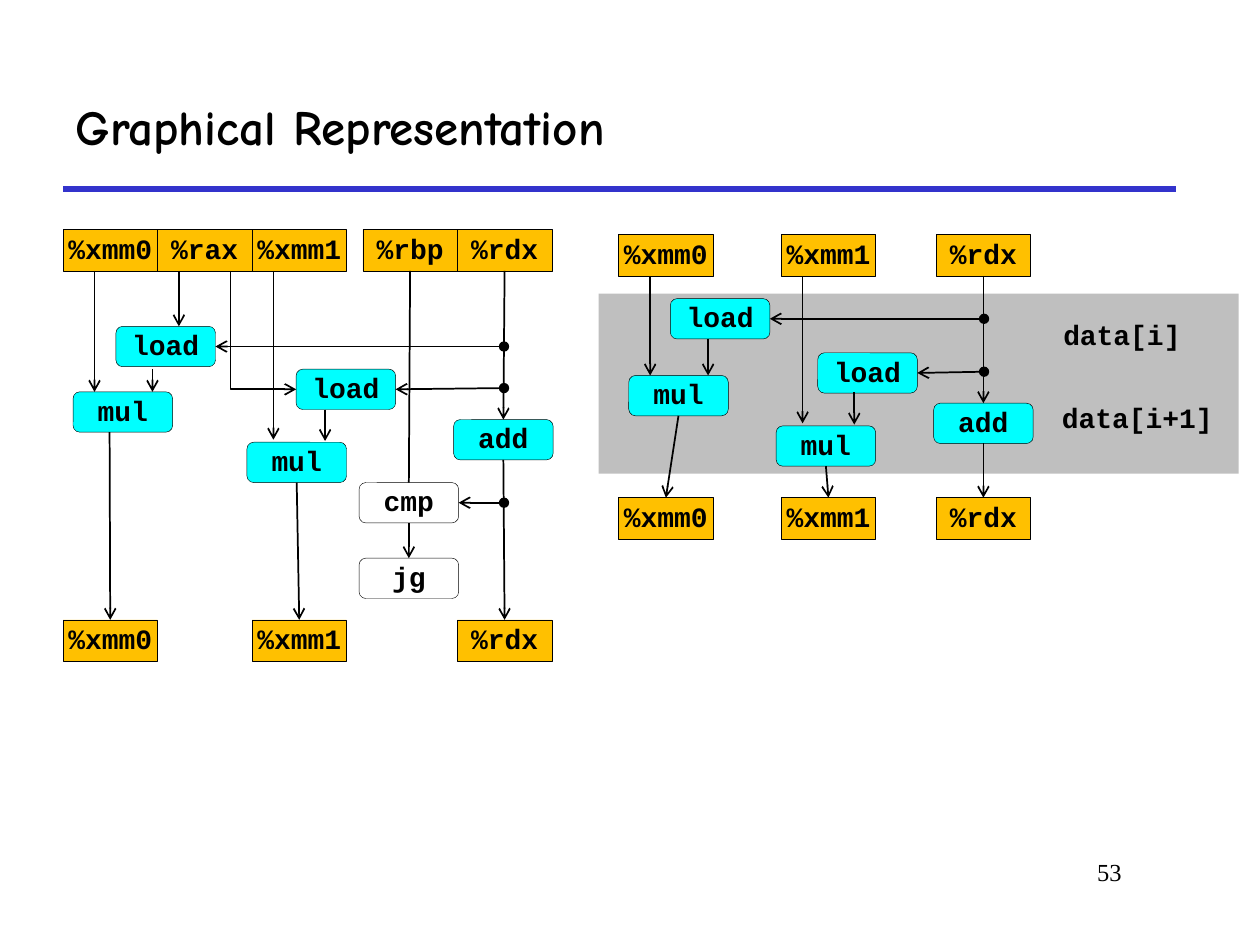
from lxml.etree import SubElement
from pptx import Presentation
from pptx.dml.color import RGBColor
from pptx.enum.shapes import MSO_CONNECTOR, MSO_SHAPE
from pptx.enum.text import MSO_ANCHOR, PP_ALIGN
from pptx.oxml.ns import qn
from pptx.util import Inches, Pt

BLACK, WHITE, GOLD, CYAN = "000000", "FFFFFF", "FFC000", "00FFFF"
GREY, BLUE = "BFBFBF", "3333CC"
TOP, LEFT, BOTTOM, RIGHT = range(4)
REGISTER_SIZE = (0.75, 0.33)
OPERATION_SIZE = (0.79, 0.32)


def color(hex_code):
    return RGBColor.from_string(hex_code)


def write(frame, text, font="Courier New", size=16, bold=True,
          align=PP_ALIGN.LEFT, spacing=0.9):
    paragraph = frame.paragraphs[0]
    paragraph.alignment = align
    paragraph.line_spacing = spacing
    run = paragraph.add_run()
    run.text = text
    run.font.name = font
    run.font.size = Pt(size)
    run.font.bold = bold
    run.font.color.rgb = color(BLACK)


def add_block(slide, kind, left, top, width, height, fill):
    block = slide.shapes.add_shape(
        kind, Inches(left), Inches(top), Inches(width), Inches(height))
    block.shadow.inherit = False
    block.fill.solid()
    block.fill.fore_color.rgb = color(fill)
    block.line.fill.background()
    return block


def add_node(slide, kind, name, left, top, size, fill):
    node = add_block(slide, kind, left, top, *size, fill)
    node.line.color.rgb = color(BLACK)
    node.line.width = Pt(0.25)
    frame = node.text_frame
    frame.margin_left = frame.margin_right = 0
    frame.margin_top = frame.margin_bottom = 0
    frame.vertical_anchor = MSO_ANCHOR.MIDDLE
    write(frame, name, align=PP_ALIGN.CENTER)
    return node


def add_register(slide, name, left, top):
    return add_node(slide, MSO_SHAPE.RECTANGLE, name, left, top,
                    REGISTER_SIZE, GOLD)


def add_operation(slide, name, left, top, fill=CYAN):
    return add_node(slide, MSO_SHAPE.ROUNDED_RECTANGLE, name, left, top,
                    OPERATION_SIZE, fill)


def add_label(slide, text, left, top, width, height, **style):
    label = slide.shapes.add_textbox(
        Inches(left), Inches(top), Inches(width), Inches(height))
    label.text_frame.word_wrap = True
    write(label.text_frame, text, **style)


def style_line(line, hex_code=BLACK, width=1, head=None, tail=None):
    line.line.color.rgb = color(hex_code)
    line.line.width = Pt(width)
    outline = line.line._get_or_add_ln()
    for tag, end_type in (("a:headEnd", head), ("a:tailEnd", tail)):
        if end_type:
            SubElement(outline, qn(tag), type=end_type)
    SubElement(line._element.spPr, qn("a:effectLst"))


def add_line(slide, start, end, **style):
    """Each end is an (x, y) point or a (node, side) pair."""
    def place(end_point):
        joined = not isinstance(end_point[0], (int, float))
        return joined, (0, 0) if joined else [Inches(v) for v in end_point]

    start_joined, start_point = place(start)
    end_joined, end_point = place(end)
    line = slide.shapes.add_connector(
        MSO_CONNECTOR.STRAIGHT, *start_point, *end_point)
    if start_joined:
        line.begin_connect(*start)
    if end_joined:
        line.end_connect(*end)
    style_line(line, **style)


def add_arrow(slide, start, end, head=None):
    add_line(slide, start, end, head=head, tail="arrow")


def add_elbow_arrow(slide, start, end):
    """Arrow that goes down from start, then right to end."""
    width, height = end[0] - start[0], end[1] - start[1]
    left = (start[0] + end[0] - height) / 2
    top = (start[1] + end[1] - width) / 2
    elbow = slide.shapes.add_connector(
        MSO_CONNECTOR.ELBOW, Inches(left), Inches(top),
        Inches(left + height), Inches(top + width))
    properties = elbow._element.spPr
    properties.find(qn("a:prstGeom")).set("prst", "bentConnector2")
    frame = properties.find(qn("a:xfrm"))
    frame.set("rot", str(270 * 60000))
    frame.set("flipH", "1")
    style_line(elbow, tail="arrow")


def add_title(slide, text):
    title = slide.shapes.title
    title.left, title.top = Inches(0.5), Inches(0.5)
    title.width, title.height = Inches(8.83), Inches(1)
    title.text_frame.vertical_anchor = MSO_ANCHOR.MIDDLE
    write(title.text_frame, text, font="Comic Neue", size=28, spacing=1)
    add_line(slide, (0.5, 1.5), (9.33, 1.5), hex_code=BLUE, width=3)


def add_full_graph(slide):
    # Registers before and after the iteration
    columns = {"%xmm0": 0.5, "%rax": 1.25, "%xmm1": 2,
               "%rbp": 2.88, "%rdx": 3.63}
    inputs = {name: add_register(slide, name, left, 1.82)
              for name, left in columns.items()}
    outputs = {name: add_register(slide, name, columns[name], 4.92)
               for name in ("%xmm0", "%xmm1", "%rdx")}

    # Operations
    load0 = add_operation(slide, "load", 0.92, 2.59)
    mul0 = add_operation(slide, "mul", 0.58, 3.11)
    load1 = add_operation(slide, "load", 2.35, 2.93)
    mul1 = add_operation(slide, "mul", 1.96, 3.51)
    add = add_operation(slide, "add", 3.6, 3.33)
    cmp = add_operation(slide, "cmp", 2.85, 3.83, WHITE)
    jg = add_operation(slide, "jg", 2.85, 4.43, WHITE)

    # Data flow
    add_line(slide, (inputs["%rbp"], BOTTOM), (cmp, TOP))
    for start, end in (
            ((0.75, 2.15), (0.75, 3.11)),
            ((1.42, 2.15), (1.42, 2.59)),
            ((1.21, 2.93), (1.21, 3.11)),
            ((2.17, 2.15), (2.17, 3.49)),
            ((2.58, 3.25), (2.58, 3.5)),
            ((0.87, 3.43), (outputs["%xmm0"], TOP)),
            ((mul1, BOTTOM), (outputs["%xmm1"], TOP)),
            ((inputs["%rdx"], BOTTOM), (add, TOP)),
            ((add, BOTTOM), (outputs["%rdx"], TOP)),
            ((cmp, BOTTOM), (jg, TOP))):
        add_arrow(slide, start, end)
    for y, target in ((2.75, load0), (3.08, load1), (3.99, cmp)):
        add_arrow(slide, (4, y), (target, RIGHT), head="oval")
    add_elbow_arrow(slide, (1.83, 2.15), (2.35, 3.09))


def add_reduced_graph(slide):
    # Loop body with the data it reads
    add_block(slide, MSO_SHAPE.RECTANGLE, 4.75, 2.33, 5.08, 1.43, GREY)
    add_label(slide, "data[i]", 8.34, 2.5, 1.21, 0.34)
    add_label(slide, "data[i+1]", 8.33, 3.16, 1.46, 0.34)

    # Registers before and after the iteration
    columns = {"%xmm0": 4.91, "%xmm1": 6.2, "%rdx": 7.43}
    inputs, outputs = (
        {name: add_register(slide, name, left, top)
         for name, left in columns.items()} for top in (1.86, 3.95))

    # Operations
    load0 = add_operation(slide, "load", 5.32, 2.37)
    mul0 = add_operation(slide, "mul", 4.99, 2.98)
    load1 = add_operation(slide, "load", 6.49, 2.8)
    mul1 = add_operation(slide, "mul", 6.16, 3.38)
    add = add_operation(slide, "add", 7.41, 3.2)

    # Data flow
    for start, end in (
            ((5.16, 2.2), (5.16, 2.98)),
            ((5.62, 2.69), (5.62, 2.98)),
            ((6.37, 2.2), (6.37, 3.36)),
            ((6.78, 3.11), (6.78, 3.37)),
            ((mul0, BOTTOM), (outputs["%xmm0"], TOP)),
            ((mul1, BOTTOM), (outputs["%xmm1"], TOP)),
            ((inputs["%rdx"], BOTTOM), (add, TOP)),
            ((add, BOTTOM), (outputs["%rdx"], TOP))):
        add_arrow(slide, start, end)
    for y, target in ((2.53, load0), (2.95, load1)):
        add_arrow(slide, (7.81, y), (target, RIGHT), head="oval")


def main():
    deck = Presentation()
    deck.slide_width, deck.slide_height = Inches(10), Inches(7.5)
    slide = deck.slides.add_slide(deck.slide_layouts[5])
    add_title(slide, "Graphical Representation")
    add_full_graph(slide)
    add_reduced_graph(slide)
    # Page number
    add_label(slide, "53", 7.58, 6.75, 1.42, 0.5, font="Times New Roman",
              size=14, bold=False, align=PP_ALIGN.RIGHT, spacing=1)
    deck.save("out.pptx")


if __name__ == "__main__":
    main()
